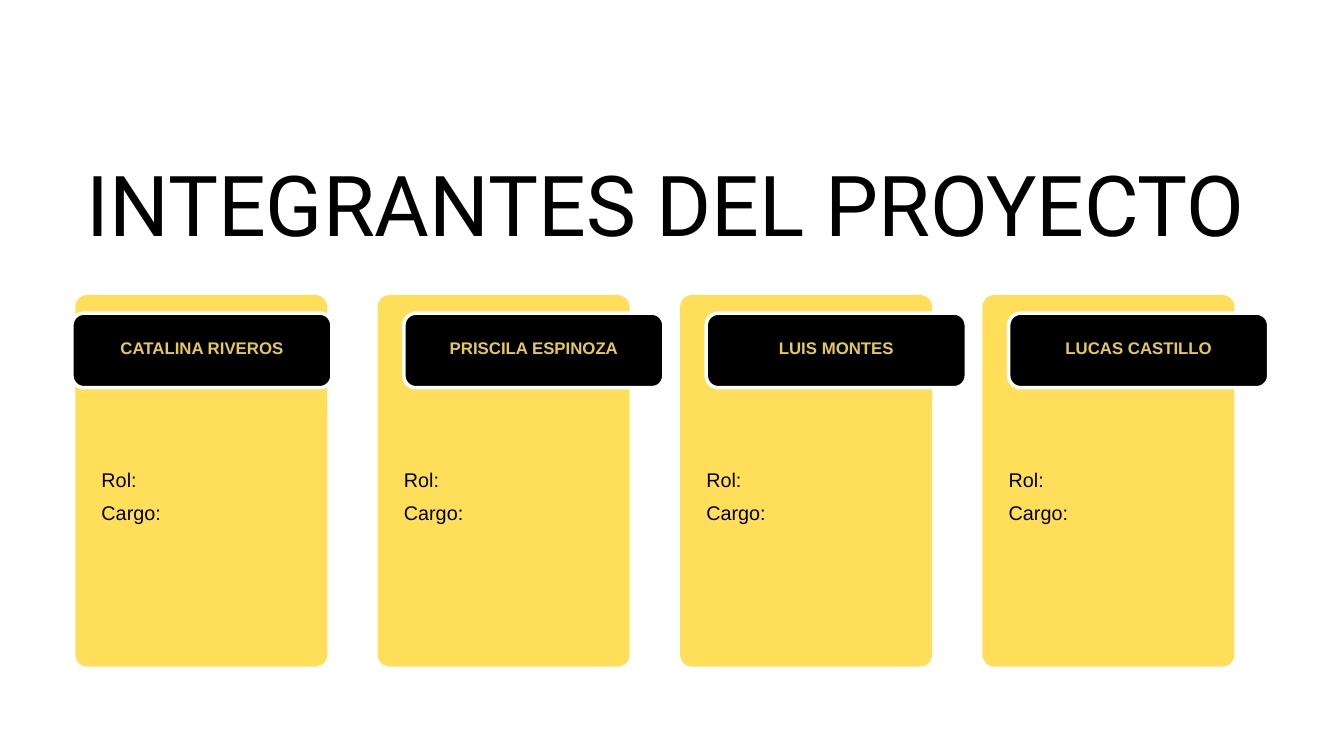
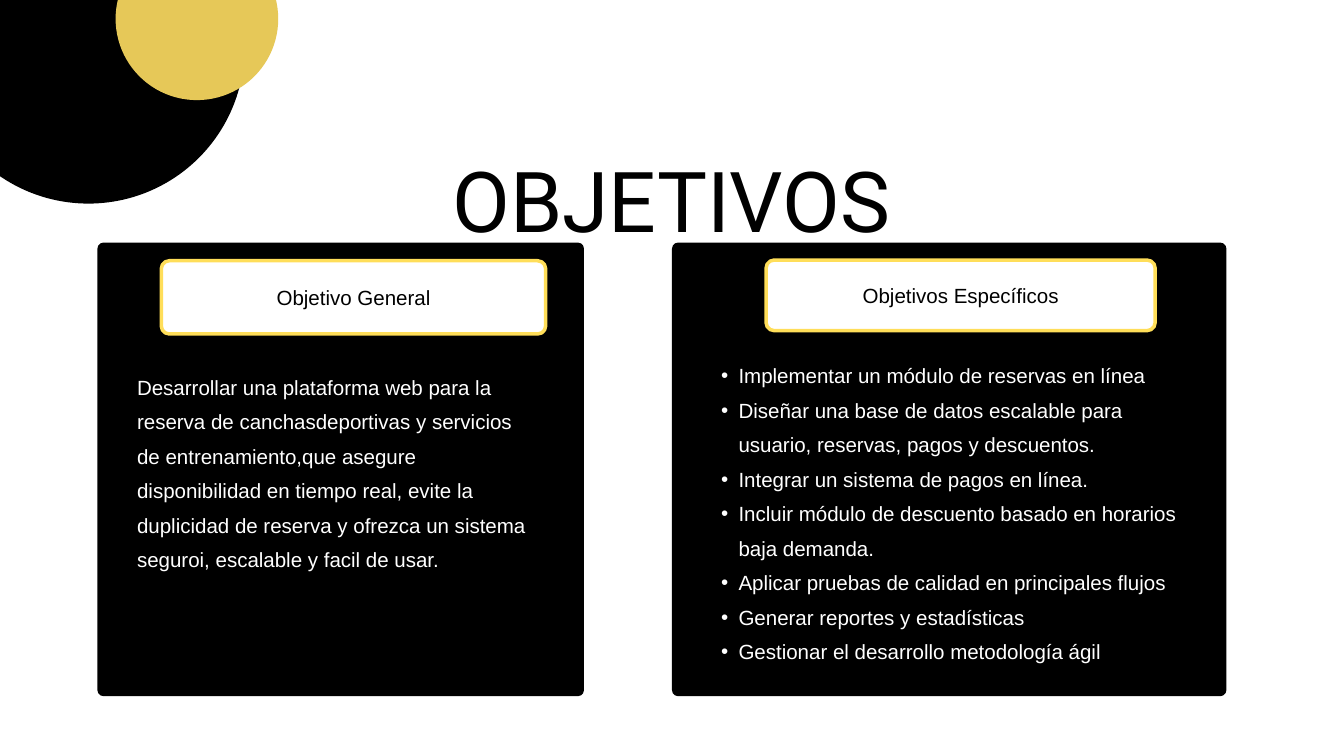
from lxml import etree
from pptx import Presentation
from pptx import util as u
from pptx.dml.color import RGBColor
from pptx.enum import shapes, text
from pptx.oxml.ns import qn

BLACK, WHITE = "000000", "FFFFFF"
YELLOW, GOLD = "FFDE59", "E6C858"
BODY, HEAD = "Arial", "Roboto"
ROUND = shapes.MSO_SHAPE.ROUNDED_RECTANGLE
OVAL = shapes.MSO_SHAPE.OVAL
LEFT, MID = text.PP_ALIGN.LEFT, text.PP_ALIGN.CENTER

TEAM = ["CATALINA RIVEROS", "PRISCILA ESPINOZA", "LUIS MONTES", "LUCAS CASTILLO"]
GOAL = ("Desarrollar una plataforma web para la reserva de canchasdeportivas y "
        "servicios de entrenamiento,que asegure disponibilidad en tiempo real, "
        "evite la duplicidad de reserva y ofrezca un sistema seguroi, escalable "
        "y facil de usar.")
AIMS = [
    "Implementar un módulo de reservas en línea",
    "Diseñar una base de datos escalable para usuario, reservas, pagos y descuentos.",
    "Integrar un sistema de pagos en línea.",
    "Incluir módulo de descuento basado en horarios baja demanda.",
    "Aplicar pruebas de calidad en principales flujos",
    "Generar reportes y estadísticas",
    "Gestionar el desarrollo metodología ágil",
]


def color(code):
    return RGBColor.from_string(code)


def inches(box):
    return [u.Inches(v) for v in box]


# Basic elements
def add_form(slide, kind, box, fill, line=None, radius=None):
    form = slide.shapes.add_shape(kind, *inches(box))
    form.shadow.inherit = False
    form.fill.solid()
    form.fill.fore_color.rgb = color(fill)
    if line:
        form.line.color.rgb = color(line)
        form.line.width = u.Pt(3.75)
    else:
        form.line.fill.background()
    if radius:
        form.adjustments[0] = radius / min(box[2:])


def add_text(slide, box, lines, size, ink, font=BODY, align=LEFT, gap=1.4,
             bold=False, pad=0):
    frame = slide.shapes.add_textbox(*inches(box)).text_frame
    frame.word_wrap = True
    frame.margin_left = frame.margin_right = u.Inches(pad)
    frame.margin_top = frame.margin_bottom = u.Inches(pad)
    frame.text = "\n".join(lines)
    for para in frame.paragraphs:
        para.alignment = align
        para.line_spacing = gap
        for run in para.runs:
            run.font.name = font
            run.font.size = u.Pt(size)
            run.font.bold = bold
            run.font.color.rgb = color(ink)
    return frame


def add_dots(frame, ink):
    for para in frame.paragraphs:
        para.level = 1
        props = para._p.get_or_add_pPr()
        props.set("marL", str(u.Inches(0.52)))
        props.set("indent", str(u.Inches(-0.26)))
        tint = etree.SubElement(props, qn("a:buClr"))
        etree.SubElement(tint, qn("a:srgbClr"), val=ink)
        etree.SubElement(props, qn("a:buFont"), typeface=BODY)
        etree.SubElement(props, qn("a:buChar"), char="•")


# Shared parts
def add_title(slide, box, words, gap):
    add_text(slide, box, [words], 90, BLACK, HEAD, MID, gap)


def add_label(slide, box, words, size, fill, line, ink, radius, rise, bold, pad):
    """Rounded label whose text area reaches a little above it."""
    add_form(slide, ROUND, box, fill, line, radius)
    x, y, w, h = box
    frame = add_text(slide, (x, y - rise, w, h + rise), [words], size, ink,
                     align=MID, bold=bold, pad=pad)
    frame.vertical_anchor = text.MSO_ANCHOR.MIDDLE


def add_member(slide, x, shift, name):
    add_form(slide, ROUND, (x, 4.39, 3.75, 5.53), YELLOW, radius=0.18)
    add_label(slide, (x + shift, 4.66, 3.87, 1.11), name, 18, BLACK, WHITE,
              GOLD, 0.18, 0.19, True, 0.05)
    add_text(slide, (x + 0.39, 6.82, 2.98, 0.81), ["Rol:", "Cargo:"], 21.2, BLACK)


def add_panel(slide, box, tag, name):
    add_form(slide, ROUND, box, BLACK, radius=0.09)
    add_label(slide, tag, name, 22, WHITE, YELLOW, BLACK, 0.12, 0.16, False, 0.06)


# Slides
def team_slide(slide):
    add_title(slide, (1.12, 2.24, 17.58, 1.33), "INTEGRANTES DEL PROYECTO", 1.02)
    for i, name in enumerate(TEAM):
        add_member(slide, 1.12 + 4.5 * i, 0.39 if i else -0.05, name)


def goal_slide(slide):
    add_form(slide, OVAL, (-1.01, -1.62, 4.65, 4.65), BLACK)
    add_form(slide, OVAL, (1.72, -0.93, 2.42, 2.42), GOLD)
    add_title(slide, (2.81, 1.61, 14.37, 1.69), "OBJETIVOS", 1.4)
    add_panel(slide, (1.45, 3.61, 7.24, 6.75), (2.4, 3.88, 5.72, 1.09),
              "Objetivo General")
    add_text(slide, (2.04, 5.43, 5.93, 2.98), [GOAL], 22, WHITE)
    add_panel(slide, (10, 3.61, 8.25, 6.75), (11.4, 3.87, 5.79, 1.05),
              "Objetivos Específicos")
    aims = add_text(slide, (10.47, 5.26, 7.32, 4.52), AIMS, 22, WHITE)
    add_dots(aims, WHITE)


def main():
    deck = Presentation()
    deck.slide_width, deck.slide_height = u.Inches(20), u.Inches(11.25)
    for build in (team_slide, goal_slide):
        build(deck.slides.add_slide(deck.slide_layouts[6]))
    deck.save("out.pptx")


if __name__ == "__main__":
    main()
